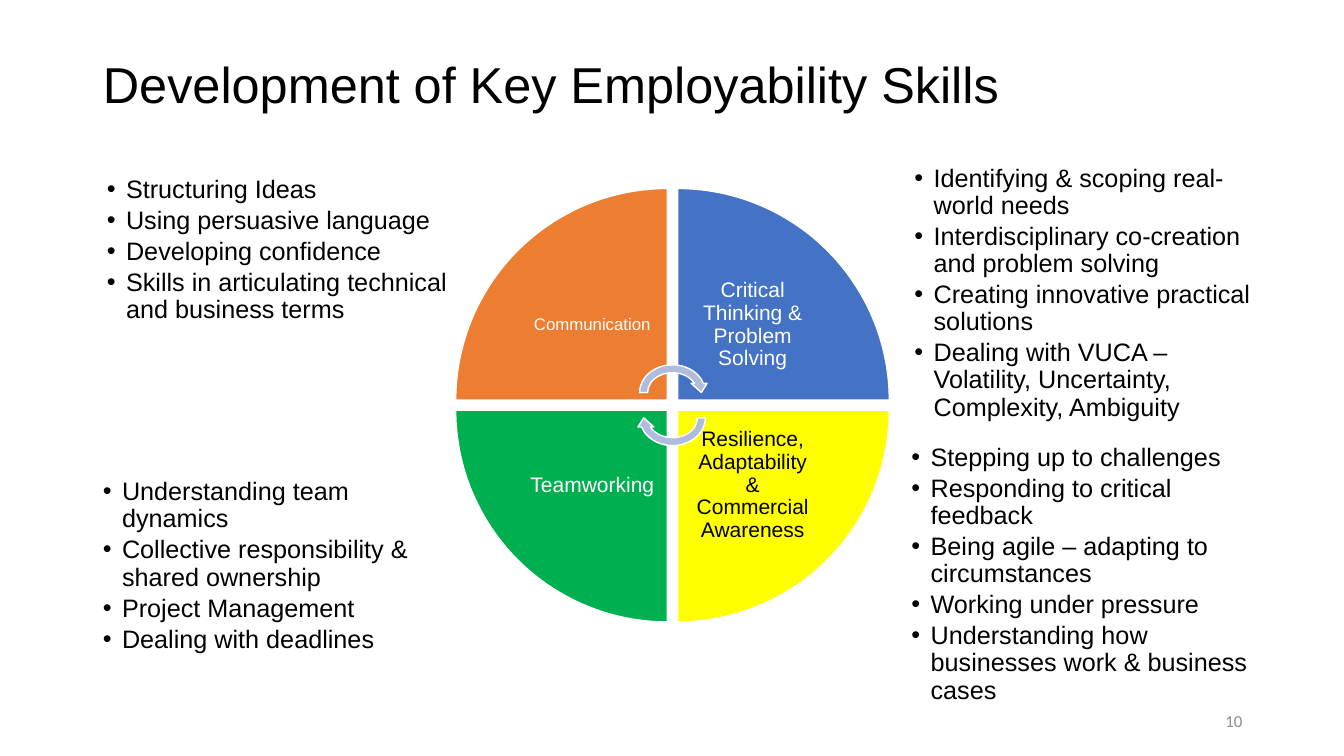
from lxml import etree
from pptx import Presentation
from pptx.dml.color import RGBColor
from pptx.enum.shapes import MSO_SHAPE as Shape
from pptx.enum.text import MSO_ANCHOR as Anchor, MSO_AUTO_SIZE as AutoSize, PP_ALIGN as Align
from pptx.oxml.ns import qn
from pptx.util import Inches, Pt

BLACK = RGBColor(0x00, 0x00, 0x00)
WHITE = RGBColor(0xFF, 0xFF, 0xFF)
ORANGE = RGBColor(0xED, 0x7D, 0x31)
BLUE = RGBColor(0x44, 0x72, 0xC4)
YELLOW = RGBColor(0xFF, 0xFF, 0x00)
GREEN = RGBColor(0x00, 0xB0, 0x50)
PALE_BLUE = RGBColor(0xB0, 0xBC, 0xDE)
GREY = RGBColor(0x8C, 0x8C, 0x8C)

TITLE = "Development of Key Employability Skills"
PAGE = "10"

# Label, fill, text colour, text size, inset; clockwise from top left
QUADRANTS = [
    ("Communication", ORANGE, WHITE, 12, 0.09),
    ("Critical Thinking & Problem Solving", BLUE, WHITE, 15, 0.12),
    ("Resilience, Adaptability & Commercial Awareness", YELLOW, BLACK, 15, 0.12),
    ("Teamworking", GREEN, WHITE, 15, 0.12),
]

# Box (left, top, width, height) and points, in the same order
SKILLS = [
    ((0.99, 1.68, 3.83, 1.27), [
        "Structuring Ideas",
        "Using persuasive language",
        "Developing confidence",
        "Skills in articulating technical and business terms",
    ]),
    ((9, 1.57, 3.59, 1.1), [
        "Identifying & scoping real-world needs",
        "Interdisciplinary co-creation and problem solving",
        "Creating innovative practical solutions",
        "Dealing with VUCA – Volatility, Uncertainty, Complexity, Ambiguity",
    ]),
    ((8.97, 4.34, 3.64, 1.21), [
        "Stepping up to challenges",
        "Responding to critical feedback",
        "Being agile – adapting to circumstances",
        "Working under pressure",
        "Understanding how businesses work & business cases",
    ]),
    ((0.95, 4.68, 3.42, 2.01), [
        "Understanding team dynamics",
        "Collective responsibility & shared ownership",
        "Project Management",
        "Dealing with deadlines",
    ]),
]

CENTRE_X, CENTRE_Y = 6.67, 4.02
HALF_GAP = 0.05
WEDGE = 2.1
LABEL = 1.49
ARROW_W, ARROW_H = 0.73, 0.63
ARROW_TOPS = [3.58, 3.83]


def place(shape, box):
    shape.left, shape.top, shape.width, shape.height = map(Inches, box)


def set_frame(frame, anchor, inset=None):
    frame.word_wrap = True
    frame.auto_size = AutoSize.NONE
    frame.vertical_anchor = anchor
    if inset is not None:
        frame.margin_left = frame.margin_right = Inches(inset)
        frame.margin_top = frame.margin_bottom = Inches(inset)


def style(paragraph, size, colour, align=Align.LEFT, face="Arial"):
    paragraph.alignment = align
    font = paragraph.runs[0].font
    font.name, font.size, font.bold = face, Pt(size), False
    font.color.rgb = colour


def add_bullet(paragraph):
    properties = paragraph._p.get_or_add_pPr()
    properties.set("marL", str(Inches(0.19)))
    properties.set("indent", str(-Inches(0.19)))
    etree.SubElement(properties, qn("a:buFont")).set("typeface", "Arial")
    etree.SubElement(properties, qn("a:buChar")).set("char", "•")


def add_label(text, box, size, colour, align, inset=None, face="Arial"):
    label = slide.shapes.add_textbox(*map(Inches, box))
    set_frame(label.text_frame, Anchor.MIDDLE, inset)
    label.text_frame.text = text
    paragraph = label.text_frame.paragraphs[0]
    style(paragraph, size, colour, align, face)
    return paragraph


def add_part(kind, box, fill, rotation):
    part = slide.shapes.add_shape(kind, *map(Inches, box))
    part.rotation = rotation
    part.shadow.inherit = False
    part.fill.solid()
    part.fill.fore_color.rgb = fill
    part.line.color.rgb = WHITE
    part.line.width = Pt(1)


def inner_corner(column, row, side):
    """Top left of a square that touches the cross at the centre."""
    left = CENTRE_X + (HALF_GAP if column else -HALF_GAP - side)
    top = CENTRE_Y + (HALF_GAP if row else -HALF_GAP - side)
    return left, top, side, side


prs = Presentation()
prs.slide_width, prs.slide_height = Inches(13.33), Inches(7.5)
slide = prs.slides.add_slide(prs.slide_layouts.get_by_name("Comparison"))

# Title
title = slide.shapes.title
place(title, (0.92, 0.4, 11.5, 0.93))
set_frame(title.text_frame, Anchor.MIDDLE)
title.text_frame.text = TITLE
title.text_frame.paragraphs[0].line_spacing = 0.9
style(title.text_frame.paragraphs[0], 36, BLACK)

# Skill lists in the four body placeholders
bodies = [body for body in slide.placeholders if body.placeholder_format.idx > 0]
for body, (box, points) in zip(bodies, SKILLS):
    place(body, box)
    frame = body.text_frame
    set_frame(frame, Anchor.TOP, 0.07)
    frame.text = "\n".join(points)
    for paragraph in frame.paragraphs:
        paragraph.line_spacing = 0.9
        paragraph.space_before = Pt(0)
        paragraph.space_after = Pt(2.7)
        add_bullet(paragraph)
        style(paragraph, 18, BLACK)

# Wheel of four wedges
for turn, (text, fill, colour, size, inset) in enumerate(QUADRANTS):
    column, row = turn in (1, 2), turn >= 2
    add_part(Shape.PIE_WEDGE, inner_corner(column, row, WEDGE), fill, 90 * turn)
    label = add_label(text, inner_corner(column, row, LABEL), size, colour,
                      Align.CENTER, inset)
    label.line_spacing = 0.9

# Arrows around the hub
for turn, top in enumerate(ARROW_TOPS):
    add_part(Shape.CIRCULAR_ARROW, (CENTRE_X - ARROW_W / 2, top, ARROW_W, ARROW_H),
             PALE_BLUE, 180 * turn)

# Page number
add_label(PAGE, (9.42, 6.95, 3, 0.4), 12, GREY, Align.RIGHT, face="Calibri")

prs.save("out.pptx")
